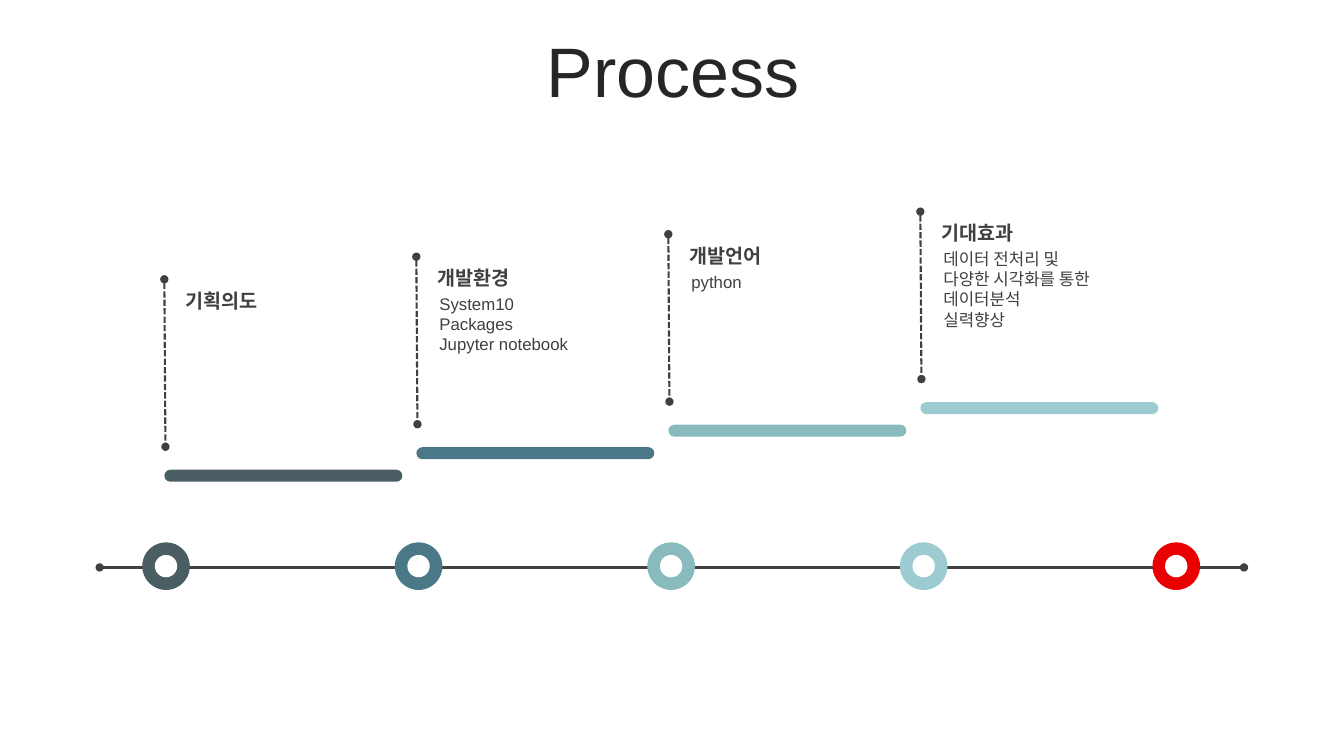
from dataclasses import dataclass
from typing import Optional

from lxml.etree import SubElement
from pptx import Presentation
from pptx.dml.color import RGBColor
from pptx.enum.dml import MSO_LINE
from pptx.enum.shapes import MSO_CONNECTOR, MSO_SHAPE
from pptx.enum.text import MSO_ANCHOR, MSO_AUTO_SIZE, PP_ALIGN
from pptx.oxml.ns import qn
from pptx.slide import Slide
from pptx.text.text import TextFrame
from pptx.util import Pt


@dataclass(frozen=True)
class Theme:
    font: str = "Arial"
    title: str = "262626"
    text: str = "404040"
    white: str = "FFFFFF"
    final: str = "EA0000"
    title_size: float = 50
    heading_size: float = 14
    detail_size: float = 12


@dataclass(frozen=True)
class Step:
    heading: str
    details: tuple[str, ...]
    color: str


THEME = Theme()
STEPS = (
    Step("기획의도", (), "4A5D62"),
    Step("개발환경", ("System10", "Packages", "Jupyter notebook"), "4A7886"),
    Step("개발언어", ("python",), "88BABE"),
    Step("기대효과", ("데이터 전처리 및", "다양한 시각화를 통한 데이터분석", "실력향상"), "9CCCD2"),
)

# Layout rules in points
STEP_LEFT, STEP_PITCH = 117.4, 180
BAR_TOP, BAR_RISE = 335.5, 16.1
RING_X, RING_Y, RING_PITCH = 118.6, 404.4, 180.4
RING_SIZE, HOLE_SIZE = 34, 16


def style_text(tf: TextFrame, size: float, color: str, bold: bool = False) -> None:
    for p in tf.paragraphs:
        for r in p.runs:
            r.font.name = THEME.font
            r.font.size = Pt(size)
            r.font.bold = bold
            r.font.color.rgb = RGBColor.from_string(color)


def add_text(s: Slide, x: float, y: float, w: float, h: float, text: str,
             size: float, inset: float, bold: bool = False) -> None:
    tf = s.shapes.add_textbox(Pt(x), Pt(y), Pt(w), Pt(h)).text_frame
    tf.word_wrap = True
    tf.margin_left = tf.margin_right = Pt(inset)
    tf.text = text
    style_text(tf, size, THEME.text, bold)


def add_filled(s: Slide, kind: MSO_SHAPE, x: float, y: float, w: float, h: float,
               color: str) -> None:
    sp = s.shapes.add_shape(kind, Pt(x), Pt(y), Pt(w), Pt(h))
    sp.shadow.inherit = False
    sp.fill.solid()
    sp.fill.fore_color.rgb = RGBColor.from_string(color)
    sp.line.fill.background()
    if kind == MSO_SHAPE.ROUNDED_RECTANGLE:
        sp.adjustments[0] = 0.5


def add_dotted_end_line(s: Slide, x1: float, y1: float, x2: float, y2: float,
                        width: float, dash: Optional[MSO_LINE] = None) -> None:
    cx = s.shapes.add_connector(MSO_CONNECTOR.STRAIGHT, Pt(x1), Pt(y1), Pt(x2), Pt(y2))
    cx.line.color.rgb = RGBColor.from_string(THEME.text)
    cx.line.width = Pt(width)
    if dash is not None:
        cx.line.dash_style = dash
    ln = cx.line._get_or_add_ln()
    for end in ("a:headEnd", "a:tailEnd"):
        SubElement(ln, qn(end), type="oval")
    SubElement(cx._element.spPr, qn("a:effectLst"))


def add_title(s: Slide, text: str) -> None:
    sp = s.shapes.title
    sp.left, sp.top, sp.width, sp.height = Pt(25.2), Pt(26.6), Pt(911.5), Pt(56.9)
    tf = sp.text_frame
    tf.text = text
    tf.auto_size = MSO_AUTO_SIZE.NONE
    tf.vertical_anchor = MSO_ANCHOR.MIDDLE
    p = tf.paragraphs[0]
    p.alignment = PP_ALIGN.CENTER
    p.line_spacing = 0.8
    p.space_before = Pt(0)
    style_text(tf, THEME.title_size, THEME.title)


def add_ring(s: Slide, index: int, color: str) -> None:
    x = RING_X + index * RING_PITCH
    for size, fill in ((RING_SIZE, color), (HOLE_SIZE, THEME.white)):
        add_filled(s, MSO_SHAPE.OVAL, x - size / 2, RING_Y - size / 2, size, size, fill)


def add_step(s: Slide, index: int, step: Step) -> None:
    x = STEP_LEFT + index * STEP_PITCH
    y = BAR_TOP - index * BAR_RISE
    add_filled(s, MSO_SHAPE.ROUNDED_RECTANGLE, x, y, 170, 8.6, step.color)
    if step.details:
        add_text(s, x + 9.4, y - 113, 124, 7.2 + 14.4 * len(step.details),
                 "\n".join(step.details), THEME.detail_size, 7.2)
    add_text(s, x + 6.5, y - 132.7, 124.6, 24.5, step.heading,
             THEME.heading_size, 8.5, bold=True)
    add_dotted_end_line(s, x, y - 136, x + 0.8, y - 16.4, 1.5, MSO_LINE.SQUARE_DOT)


def main() -> None:
    prs = Presentation()
    prs.slide_width, prs.slide_height = Pt(960), Pt(540)
    s = prs.slides.add_slide(prs.slide_layouts[5])
    add_title(s, "Process")

    # Timeline with one ring per step and a final one
    add_dotted_end_line(s, 71.2, 405.3, 888.6, 405.3, 1.75)
    for i, color in enumerate([step.color for step in STEPS] + [THEME.final]):
        add_ring(s, i, color)

    # Rising steps
    for i, step in enumerate(STEPS):
        add_step(s, i, step)

    prs.save("out.pptx")


if __name__ == "__main__":
    main()
